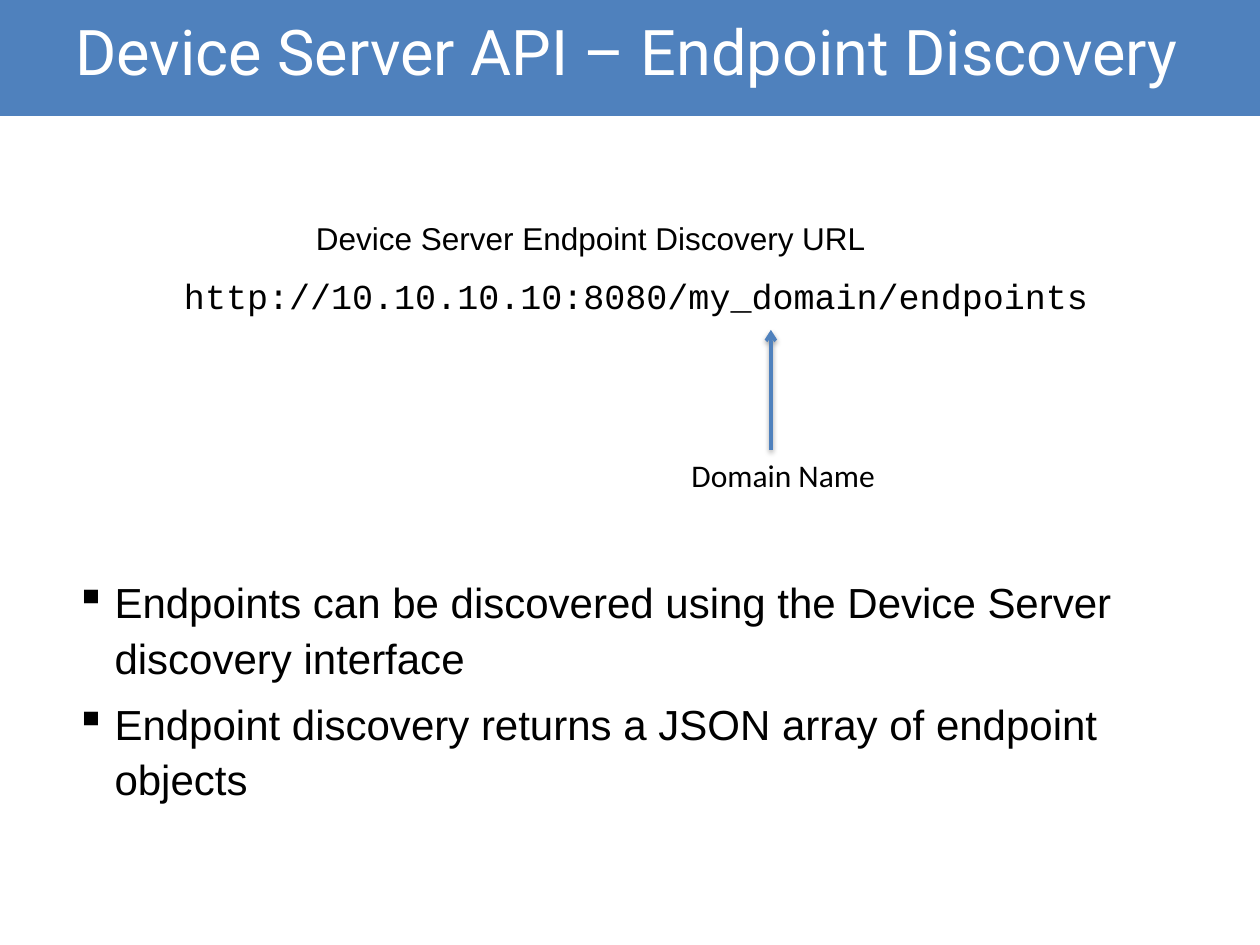
"""Build the endpoint discovery slide."""
from dataclasses import dataclass

from lxml import etree
from pptx import Presentation
from pptx.dml.color import RGBColor
from pptx.enum.shapes import MSO_CONNECTOR, MSO_SHAPE
from pptx.enum.text import MSO_ANCHOR, MSO_AUTO_SIZE
from pptx.oxml.ns import qn
from pptx.util import Cm, Pt

RECT = MSO_SHAPE.RECTANGLE
LINE = MSO_CONNECTOR.STRAIGHT
TOP, MID = MSO_ANCHOR.TOP, MSO_ANCHOR.MIDDLE
GROW, FIXED = MSO_AUTO_SIZE.SHAPE_TO_FIT_TEXT, MSO_AUTO_SIZE.NONE


@dataclass(frozen=True)
class Theme:
    blue: RGBColor = RGBColor(0x4F, 0x81, 0xBD)
    white: RGBColor = RGBColor(255, 255, 255)
    black: RGBColor = RGBColor(0, 0, 0)
    title: int = 36
    body: int = 24
    code: int = 20
    label: int = 18


theme = Theme()
deck = Presentation()
deck.slide_width, deck.slide_height = Cm(25.4), Cm(19.05)
slide = deck.slides.add_slide(deck.slide_layouts[6])


def add_text(text, *, at, size, font="Arial", color=theme.black,
             wrap=False, fit=GROW, anchor=TOP, inset=True, bullet=None):
    box = slide.shapes.add_textbox(*map(Cm, at))
    frame = box.text_frame
    frame.word_wrap, frame.auto_size = wrap, fit
    frame.vertical_anchor = anchor
    if not inset:
        frame.margin_left = frame.margin_right = 0
        frame.margin_top = frame.margin_bottom = 0
    frame.text = text
    for para in frame.paragraphs:
        para.font.size, para.font.name = Pt(size), font
        para.font.color.rgb = color
        if bullet:
            para.line_spacing, para.space_after = 1.1, Pt(6)
            props = para._p.get_or_add_pPr()
            props.set("marL", str(Cm(0.79)))
            props.set("indent", str(-Cm(0.79)))
            mark = etree.Element(qn("a:buChar"), char=bullet)
            props.insert_element_before(mark, "a:tabLst", "a:defRPr", "a:extLst")


band = slide.shapes.add_shape(RECT, 0, 0, deck.slide_width, Cm(2.34))
band.shadow.inherit = False
band.fill.solid()
band.fill.fore_color.rgb = theme.blue
band.line.fill.background()

add_text("Device Server API – Endpoint Discovery", at=(1.27, -0.58, 22.86, 3.18),
         size=theme.title, font="Roboto", color=theme.white,
         wrap=True, fit=FIXED, anchor=MID)
add_text("Endpoints can be discovered using the Device Server discovery interface\n"
         "Endpoint discovery returns a JSON array of endpoint objects",
         at=(1.27, 11.4, 22.86, 7.65), size=theme.body, wrap=True, bullet="▪")
add_text("http://10.10.10.10:8080/my_domain/endpoints", at=(3.71, 5.54, 18.26, 1.14),
         size=theme.code, font="Courier New", fit=FIXED, inset=False)
add_text("Device Server Endpoint Discovery URL", at=(6.12, 4.29, 11.71, 1.02),
         size=theme.label)
add_text("Domain Name", at=(13.69, 9.07, 4.24, 1.02), size=theme.label, font="Calibri")

arrow = slide.shapes.add_connector(LINE, Cm(15.54), Cm(9.07), Cm(15.54), Cm(6.65))
arrow.line.color.rgb, arrow.line.width = theme.blue, Pt(2)
etree.SubElement(arrow.line._get_or_add_ln(), qn("a:tailEnd"), type="arrow")
glow = etree.SubElement(arrow._element.spPr, qn("a:effectLst"))
shade = etree.SubElement(glow, qn("a:outerShdw"), blurRad=str(Pt(3.1)),
                         dist=str(Pt(1.6)), dir="5400000", rotWithShape="0")
tint = etree.SubElement(shade, qn("a:srgbClr"), val=str(theme.black))
etree.SubElement(tint, qn("a:alpha"), val="38000")

deck.save("out.pptx")
